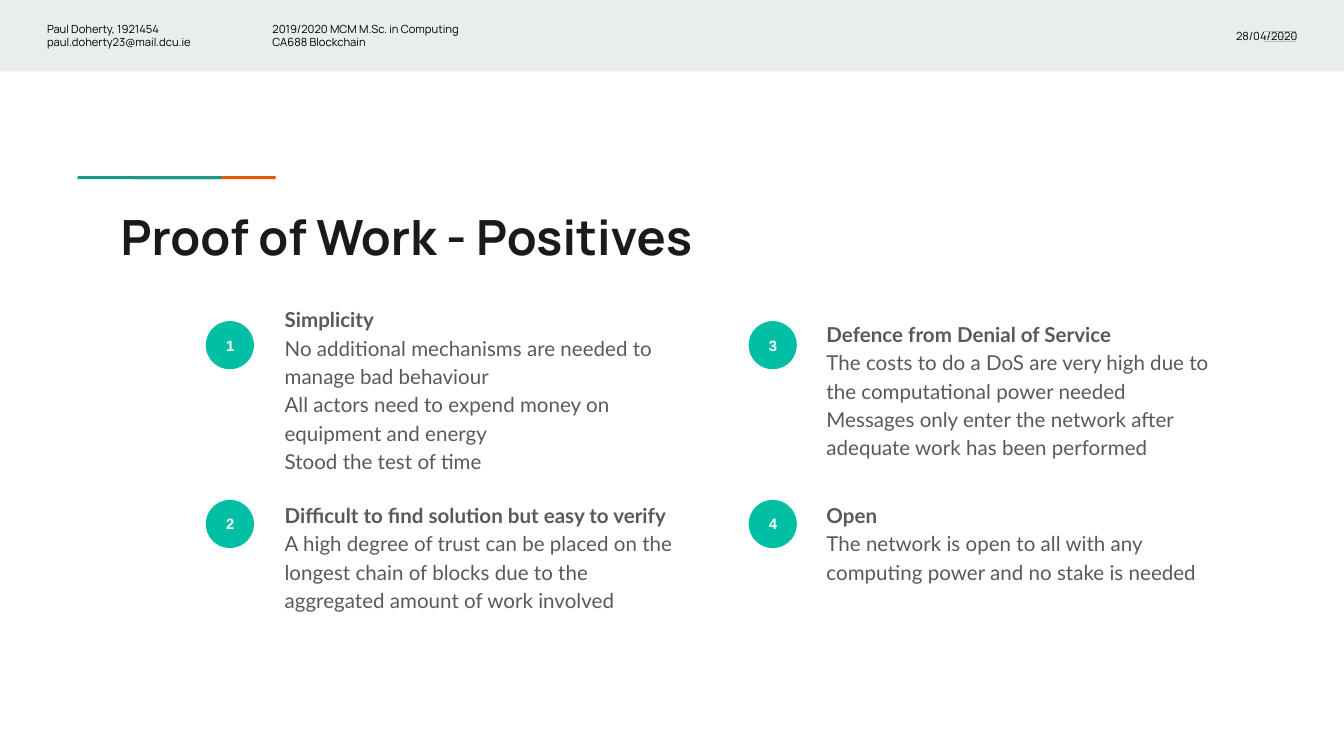
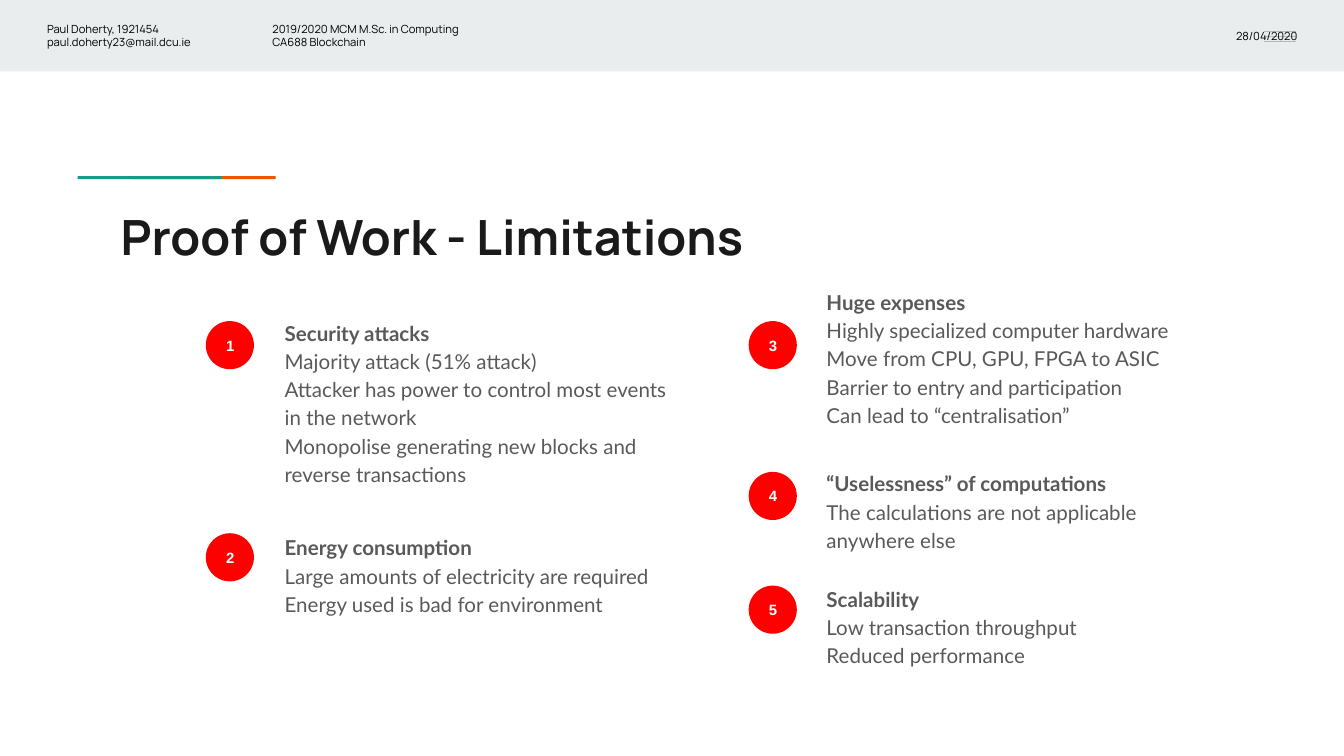
from lxml import etree
from pptx import Presentation
from pptx.dml.color import RGBColor
from pptx.enum.shapes import MSO_CONNECTOR as Connector, MSO_SHAPE as Preset
from pptx.enum.text import MSO_ANCHOR as Anchor, PP_ALIGN as Align
from pptx.oxml.ns import qn
from pptx.util import Cm, Pt

COLORS = {
    "band": "E9EDEE", "orange": "EB5600", "teal": "1A9988", "rule": "B7B7B7",
    "black": "000000", "title": "1A1A1A", "body": "595959", "white": "FFFFFF",
    "positive": "00BFA5", "limitation": "FF0000",
}
BADGE_SIZE = 0.91
BADGE_LEFTS = (3.89, 14.15)
TEXT_LEFTS = (5.13, 15.37)
TEXT_WIDTH = 7.87

# Header texts: left, width, alignment, lines
HEADERS = [
    (0.64, 3.99, Align.LEFT, ["Paul Doherty, 1921454", "paul.doherty23@mail.dcu.ie"]),
    (4.9, 6.07, Align.LEFT, ["2019/2020 MCM M.Sc. in Computing", "CA688 Blockchain"]),
    (22.81, 1.96, Align.RIGHT, ["28/04/2020"]),
]

# Slides: title, badge colour, points (column, badge top, text top, text height, lines)
SLIDES = [
    ("Proof of Work - Positives", "positive", [
        (0, 6.07, 5.49, 3.45, [
            "Simplicity",
            "No additional mechanisms are needed to manage bad behaviour",
            "All actors need to expend money on equipment and energy",
            "Stood the test of time"]),
        (0, 9.45, 9.19, 2.92, [
            "Difficult to find solution but easy to verify",
            "A high degree of trust can be placed on the longest chain of blocks "
            "due to the aggregated amount of work involved"]),
        (1, 6.07, 5.77, 2.92, [
            "Defence from Denial of Service",
            "The costs to do a DoS are very high due to the computational power needed",
            "Messages only enter the network after adequate work has been performed"]),
        (1, 9.45, 9.19, 2.92, [
            "Open",
            "The network is open to all with any computing power and no stake is needed"]),
    ]),
    ("Proof of Work - Limitations", "limitation", [
        (0, 6.07, 5.74, 3.66, [
            "Security attacks",
            "Majority attack (51% attack)",
            "Attacker has power to control most events in the network",
            "Monopolise generating new blocks and reverse transactions"]),
        (0, 10.08, 9.8, 2.92, [
            "Energy consumption",
            "Large amounts of electricity are required",
            "Energy used is bad for environment"]),
        (1, 6.07, 5.16, 2.92, [
            "Huge expenses",
            "Highly specialized computer hardware",
            "Move from CPU, GPU, FPGA to ASIC",
            "Barrier to entry and participation",
            "Can lead to “centralisation”"]),
        (1, 8.92, 8.59, 1.96, [
            "“Uselessness” of computations",
            "The calculations are not applicable anywhere else"]),
        (1, 11.07, 10.77, 1.96, [
            "Scalability",
            "Low transaction throughput",
            "Reduced performance"]),
    ]),
]


def add_block(slide, preset, left, top, width, height, color):
    shape = slide.shapes.add_shape(preset, Cm(left), Cm(top), Cm(width), Cm(height))
    shape.shadow.inherit = False
    shape.fill.solid()
    shape.fill.fore_color.rgb = RGBColor.from_string(COLORS[color])
    shape.line.fill.background()
    return shape


def write_lines(shape, lines, font_name, size, color, align=Align.LEFT,
                anchor=Anchor.TOP, spacing=1.0, bold_lines=0):
    frame = shape.text_frame
    frame.word_wrap = True
    frame.vertical_anchor = anchor
    frame.margin_left = frame.margin_right = Cm(0.25)
    frame.margin_top = frame.margin_bottom = Cm(0.25)
    frame.text = "\n".join(lines)
    for index, paragraph in enumerate(frame.paragraphs):
        paragraph.alignment = align
        paragraph.line_spacing = spacing
        paragraph.font.name = font_name
        paragraph.font.size = Pt(size)
        paragraph.font.bold = index < bold_lines
        paragraph.font.color.rgb = RGBColor.from_string(COLORS[color])


presentation = Presentation()
presentation.slide_width = Cm(25.4)
presentation.slide_height = Cm(14.29)

for title, badge_color, points in SLIDES:
    slide = presentation.slides.add_slide(presentation.slide_layouts[6])

    # Header band and two-colour accent bar
    add_block(slide, Preset.RECTANGLE, 0, 0, 25.4, 1.35, "band")
    add_block(slide, Preset.RECTANGLE, 2.49, 3.33, 2.72, 0.06, "orange")
    add_block(slide, Preset.RECTANGLE, 1.47, 3.33, 2.72, 0.06, "teal")
    add_block(slide, Preset.RECTANGLE, 23.01, 0, 2.39, 1.27, "band")

    # Menu lines behind the date
    for row in range(3):
        y = Cm(0.6 + 0.09 * row)
        line = slide.shapes.add_connector(Connector.STRAIGHT, Cm(23.88), y, Cm(24.49), y)
        line.line.color.rgb = RGBColor.from_string(COLORS["rule"])
        line.line.width = Pt(0.75)
        etree.SubElement(line._element.spPr, qn("a:effectLst"))

    # Header texts
    for left, width, align, lines in HEADERS:
        box = slide.shapes.add_textbox(Cm(left), Cm(0.23), Cm(width), Cm(0.89))
        write_lines(box, lines, "Manrope", 6, "black", align, Anchor.MIDDLE)

    # Title
    box = slide.shapes.add_textbox(Cm(2.03), Cm(3.66), Cm(21.36), Cm(1.5))
    write_lines(box, [title], "Manrope", 26, "title", bold_lines=1)

    # Numbered points
    for number, (column, badge_top, text_top, height, lines) in enumerate(points, 1):
        badge = add_block(slide, Preset.OVAL, BADGE_LEFTS[column], badge_top,
                          BADGE_SIZE, BADGE_SIZE, badge_color)
        write_lines(badge, [str(number)], "Arial", 8, "white", Align.CENTER,
                    Anchor.MIDDLE, bold_lines=1)
        box = slide.shapes.add_textbox(Cm(TEXT_LEFTS[column]), Cm(text_top),
                                       Cm(TEXT_WIDTH), Cm(height))
        write_lines(box, lines, "Lato", 11, "body", spacing=1.15, bold_lines=1)

presentation.save("out.pptx")
